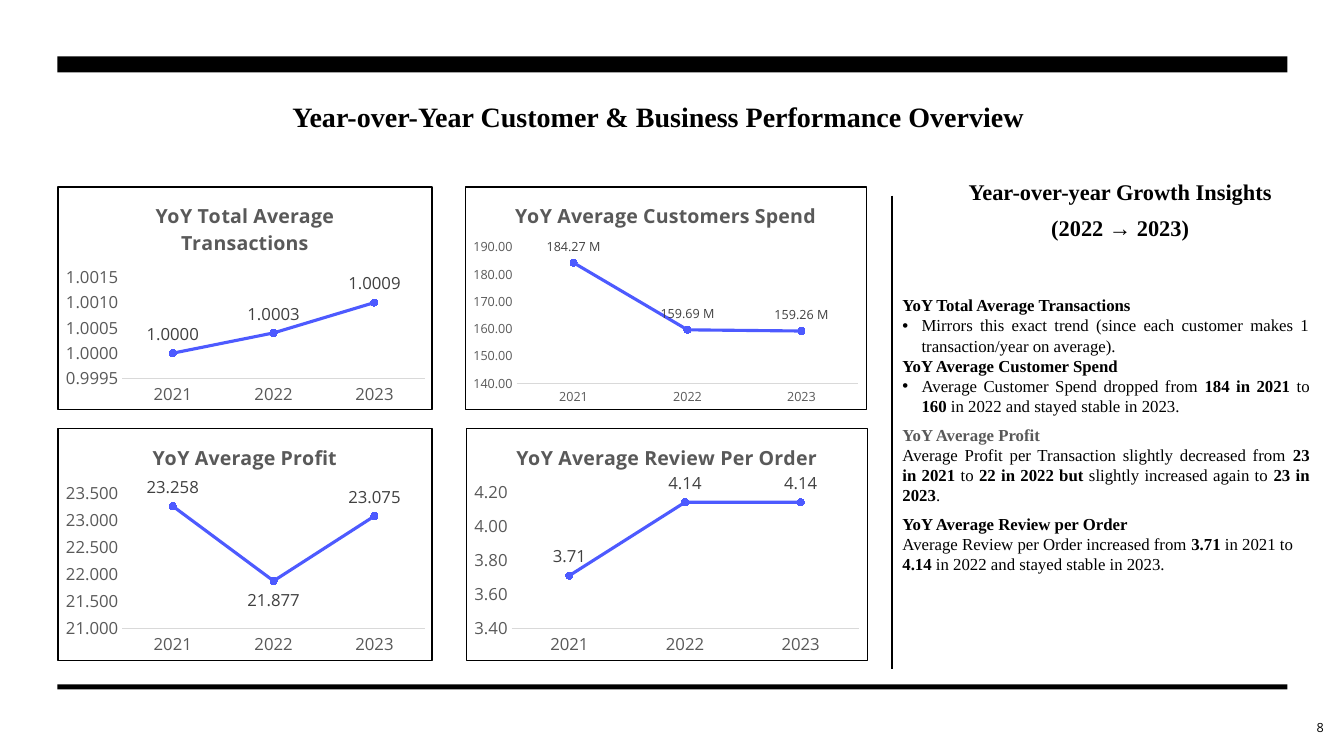
from dataclasses import dataclass

from lxml import etree
from pptx import Presentation
from pptx import util as u
from pptx.chart.data import CategoryChartData
from pptx.dml.color import RGBColor
from pptx.enum import chart as charts, shapes, text
from pptx.oxml import parse_xml
from pptx.oxml.ns import nsdecls, qn

Inches = u.Inches


@dataclass(frozen=True)
class Theme:
    black: str = "000000"
    grey: str = "595959"
    label: str = "404040"
    axis: str = "D9D9D9"
    series: str = "4D5AFF"
    serif: str = "Times New Roman"
    sans: str = "Open Sans"
    title: int = 20
    heading: int = 16
    chart_title: int = 14
    body: int = 12
    small: int = 9


@dataclass(frozen=True)
class Trend:
    title: str
    area: tuple
    plot: tuple
    values: tuple
    scale: tuple
    axis_format: str
    label_format: str
    size: int
    custom_labels: tuple = ()
    labels_below: tuple = ()


THEME = Theme()
YEARS = ("2021", "2022", "2023")
LEFT, TOP, WIDTH = 0.57, 1.85, 12.2
TRENDS = (
    Trend("YoY Total Average Transactions", (LEFT, TOP, 3.72, 2.22), (1.21, 2.75, 3.01, 1.01),
          (1, 1.0004, 1.001), (0.9995, 1.0015, 0.0005), "0.0000", "0.0000", THEME.body,
          custom_labels=((1, "1.0003"), (2, "1.0009"))),
    Trend("YoY Average Customers Spend", (4.61, TOP, 3.99, 2.22), (5.12, 2.45, 3.4, 1.36),
          (184.27, 159.69, 159.26), (140, 190, 10), "0.00", '0.00\\ "M"', THEME.small),
    Trend("YoY Average Profit", (LEFT, 4.25, 3.72, 2.31), (1.21, 4.89, 3.01, 1.35),
          (23.258, 21.877, 23.075), (21, 23.5, 0.5), "0.000", "0.000", THEME.body,
          labels_below=(1,)),
    Trend("YoY Average Review Per Order", (4.62, 4.25, 3.99, 2.31), (5.07, 4.88, 3.45, 1.36),
          (3.71, 4.14, 4.14), (3.4, 4.2, 0.2), "0.00", "0.00", THEME.body),
)
JUSTIFY, START = text.PP_ALIGN.JUSTIFY, text.PP_ALIGN.LEFT
INSIGHTS = (
    ("**YoY Total Average Transactions**", JUSTIFY, False, 0, THEME.black),
    ("Mirrors this exact trend (since each customer makes 1 transaction/year on average).",
     JUSTIFY, True, 0, THEME.black),
    ("**YoY Average Customer Spend**", JUSTIFY, False, 0, THEME.black),
    ("Average Customer Spend dropped from **184 in 2021** to **160** in 2022 and stayed "
     "stable in 2023.", JUSTIFY, True, 0, THEME.black),
    ("**YoY Average Profit**", START, False, 6, THEME.grey),
    ("Average Profit per Transaction slightly decreased from **23 in 2021** to "
     "**22 in 2022 but** slightly increased again to **23 in 2023**.",
     JUSTIFY, False, 0, THEME.black),
    ("**YoY Average Review per Order**", START, False, 6, THEME.black),
    ("Average Review per Order increased from **3.71** in 2021 to **4.14** in 2022 and "
     "stayed stable in 2023.", START, False, 0, THEME.black),
)


def style(font, size, color, name, bold=False):
    font.size, font.name, font.bold = u.Pt(size), name, bold
    font.color.rgb = RGBColor.from_string(color)


def place(shape, *area):
    shape.left, shape.top, shape.width, shape.height = map(Inches, area)


def prepare(frame, anchor):
    frame.word_wrap = True
    frame.auto_size = text.MSO_AUTO_SIZE.NONE
    frame.vertical_anchor = anchor


def add_bar(page, top, height):
    bar = page.shapes.add_shape(shapes.MSO_SHAPE.RECTANGLE,
                                *map(Inches, (LEFT, top, WIDTH, height)))
    bar.shadow.inherit = False
    bar.fill.solid()
    bar.fill.fore_color.rgb = RGBColor.from_string(THEME.black)
    bar.line.fill.background()


def add_divider(page, x, top, bottom):
    divider = page.shapes.add_connector(shapes.MSO_CONNECTOR.STRAIGHT,
                                        *map(Inches, (x, top, x, bottom)))
    divider.line.color.rgb = RGBColor.from_string(THEME.black)
    divider.line.width = u.Pt(1.5)
    etree.SubElement(divider._element.spPr, qn("a:effectLst"))


def add_label(page, area, words, size, font, align, anchor, bold=False, after=0):
    box = page.shapes.add_textbox(*map(Inches, area))
    prepare(box.text_frame, anchor)
    box.text_frame.text = words
    for para in box.text_frame.paragraphs:
        para.alignment, para.space_after = align, u.Pt(after)
        for span in para.runs:
            style(span.font, size, THEME.black, font, bold)


def set_title(page, words):
    title = page.shapes.title
    place(title, 2.8, 0.94, 7.85, 0.44)
    prepare(title.text_frame, text.MSO_ANCHOR.TOP)
    title.text_frame.text = words
    para = title.text_frame.paragraphs[0]
    para.alignment = START
    style(para.runs[0].font, THEME.title, THEME.black, THEME.serif, True)


def set_bullet(para, bulleted):
    props = para._p.get_or_add_pPr()
    indent = Inches(0.19) if bulleted else 0
    props.set("marL", str(indent))
    props.set("indent", str(-indent))
    if bulleted:
        etree.SubElement(props, qn("a:buChar")).set("char", "•")
    else:
        etree.SubElement(props, qn("a:buNone"))


def fill_insights(body):
    place(body, 8.85, 2.66, 4.24, 3.2)
    frame = body.text_frame
    prepare(frame, text.MSO_ANCHOR.MIDDLE)
    for index, (words, align, bulleted, before, color) in enumerate(INSIGHTS):
        para = frame.add_paragraph() if index else frame.paragraphs[0]
        para.alignment, para.space_before = align, u.Pt(before)
        para.line_spacing = 1.0 if index else 1.5
        set_bullet(para, bulleted)
        for part, piece in enumerate(words.split("**")):
            if piece:
                span = para.add_run()
                span.text = piece
                style(span.font, THEME.body, color, THEME.serif, part % 2 == 1)


def frame_chart(chart, trend):
    space = chart._chartSpace
    border = parse_xml(
        f'<c:spPr {nsdecls("c", "a")}><a:noFill/><a:ln w="9525"><a:solidFill>'
        f'<a:srgbClr val="{THEME.black}"/></a:solidFill></a:ln></c:spPr>')
    space.find(qn("c:chart")).addnext(border)
    left, top, width, height = trend.area
    x, y, w, h = trend.plot
    sizes = {"x": (x - left) / width, "y": (y - top) / height, "w": w / width, "h": h / height}
    fractions = "".join(f'<c:{key} val="{value:.4f}"/>' for key, value in sizes.items())
    layout = parse_xml(
        f'<c:layout {nsdecls("c")}><c:manualLayout><c:layoutTarget val="inner"/>'
        f'<c:xMode val="edge"/><c:yMode val="edge"/>{fractions}</c:manualLayout></c:layout>')
    plot_area = space.find(".//" + qn("c:plotArea"))
    for old in plot_area.findall(qn("c:layout")):
        plot_area.remove(old)
    plot_area.insert(0, layout)


def format_axes(chart, trend):
    for axis in (chart.category_axis, chart.value_axis):
        axis.has_major_gridlines = False
        axis.major_tick_mark = axis.minor_tick_mark = charts.XL_TICK_MARK.NONE
        style(axis.tick_labels.font, trend.size, THEME.grey, THEME.sans)
    line = chart.category_axis.format.line
    line.color.rgb, line.width = RGBColor.from_string(THEME.axis), u.Pt(0.75)
    values = chart.value_axis
    values.format.line.fill.background()
    values.minimum_scale, values.maximum_scale, values.major_unit = trend.scale
    values.tick_labels.number_format = trend.axis_format
    values.tick_labels.number_format_is_linked = False


def format_series(series, trend):
    color = RGBColor.from_string(THEME.series)
    series.smooth = False
    series.format.line.color.rgb, series.format.line.width = color, u.Pt(2.25)
    series.marker.style, series.marker.size = charts.XL_MARKER_STYLE.CIRCLE, 5
    series.marker.format.fill.solid()
    series.marker.format.fill.fore_color.rgb = color
    series.marker.format.line.color.rgb = color
    labels = series.data_labels
    labels.show_value, labels.position = True, charts.XL_LABEL_POSITION.ABOVE
    labels.number_format, labels.number_format_is_linked = trend.label_format, False
    style(labels.font, trend.size, THEME.label, THEME.sans)
    for index, words in trend.custom_labels:
        label = series.points[index].data_label
        label.text_frame.text = words
        style(label.text_frame.paragraphs[0].runs[0].font, trend.size, THEME.label, THEME.sans)
        label.position = charts.XL_LABEL_POSITION.ABOVE
    for index in trend.labels_below:
        label = series.points[index].data_label
        style(label.font, trend.size, THEME.label, THEME.sans)
        label.position = charts.XL_LABEL_POSITION.BELOW


def add_trend(page, trend):
    data = CategoryChartData(number_format=trend.axis_format)
    data.categories = YEARS
    data.add_series("Series 1", trend.values)
    chart = page.shapes.add_chart(charts.XL_CHART_TYPE.LINE_MARKERS,
                                  *map(Inches, trend.area), data).chart
    style(chart.font, 10, THEME.black, THEME.sans)
    chart.has_legend = False
    chart.plots[0].vary_by_categories = False
    heading = chart.chart_title.text_frame
    heading.text = trend.title
    style(heading.paragraphs[0].runs[0].font, THEME.chart_title, THEME.grey, THEME.sans, True)
    format_axes(chart, trend)
    format_series(chart.plots[0].series[0], trend)
    frame_chart(chart, trend)


def main():
    deck = Presentation()
    deck.slide_width, deck.slide_height = Inches(13.33), Inches(7.5)
    page = deck.slides.add_slide(deck.slide_layouts[1])
    add_bar(page, 0.56, 0.16)
    add_bar(page, 6.79, 0.05)
    add_label(page, (12.53, 7.02, 0.7, 0.4), "8", THEME.small, THEME.sans,
              text.PP_ALIGN.RIGHT, text.MSO_ANCHOR.MIDDLE)
    add_divider(page, 8.85, 1.94, 6.64)
    set_title(page, "Year-over-Year Customer & Business Performance Overview")
    add_label(page, (8.99, 1.72, 4.24, 0.72), "Year-over-year Growth Insights\n(2022 → 2023)",
              THEME.heading, THEME.serif, text.PP_ALIGN.CENTER, text.MSO_ANCHOR.TOP, True, 6)
    fill_insights(page.placeholders[1])
    for trend in TRENDS:
        add_trend(page, trend)
    deck.save("out.pptx")


if __name__ == "__main__":
    main()
